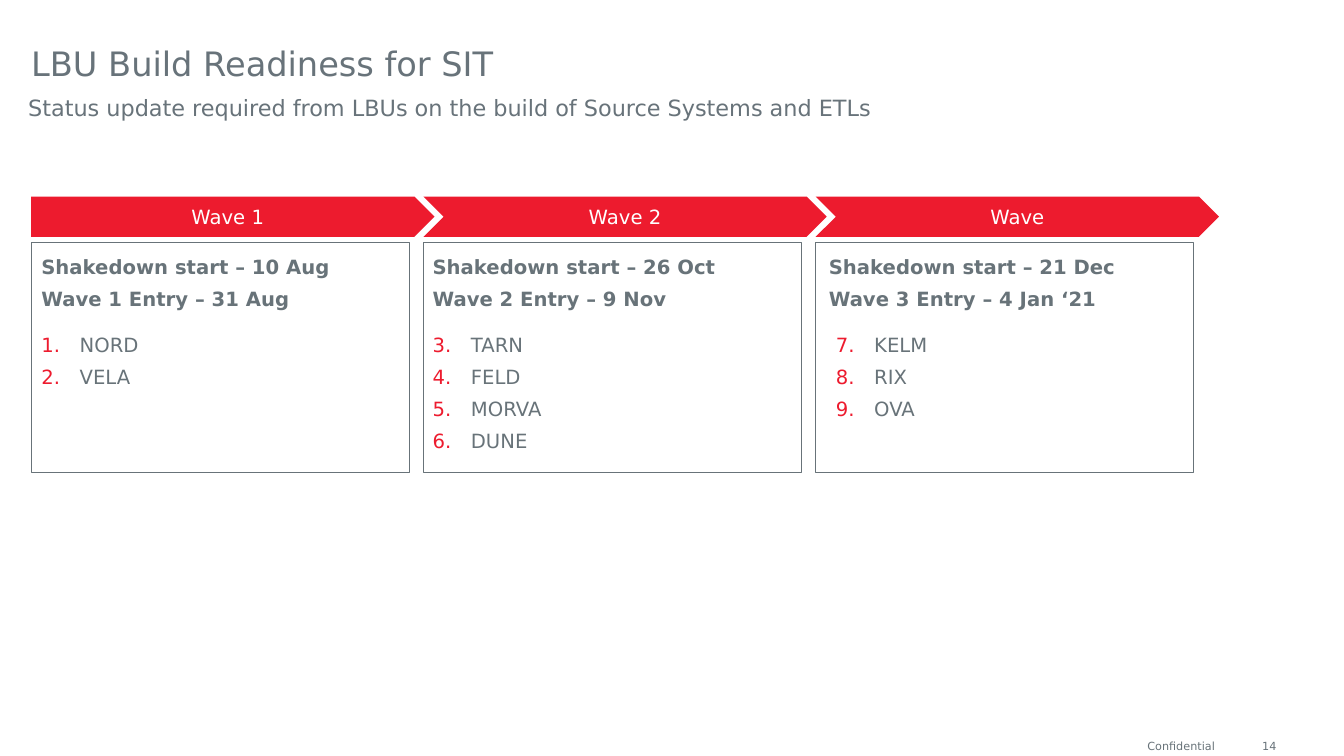
from dataclasses import dataclass

from lxml import etree
from pptx import Presentation
from pptx.dml.color import RGBColor
from pptx.enum import shapes, text
from pptx.oxml import ns
from pptx.util import Inches, Pt


@dataclass(frozen=True)
class Theme:
    font: str = "DejaVu Sans"
    red: str = "ED1B2E"
    grey: str = "68737A"
    slate: str = "687379"
    white: str = "FFFFFF"
    title: int = 24
    lead: int = 16
    body: int = 14
    foot: int = 8


@dataclass(frozen=True)
class Wave:
    label: str
    dates: tuple[str, str]
    units: tuple[str, ...]
    start: int  # first number of the list
    head: float  # left edge of the dates
    list: float  # left edge of the units


THEME = Theme()
SHAPE = shapes.MSO_SHAPE
LEFT, STEP = 0.31, 3.89

WAVES = (
    Wave("Wave 1", ("Shakedown start – 10 Aug", "Wave 1 Entry – 31 Aug"),
         ("NORD", "VELA"), 1, 0.41, 0.41),
    Wave("Wave 2", ("Shakedown start – 26 Oct", "Wave 2 Entry – 9 Nov"),
         ("TARN", "FELD", "MORVA", "DUNE"), 3, 4.29, 4.29),
    Wave("Wave", ("Shakedown start – 21 Dec", "Wave 3 Entry – 4 Jan ‘21"),
         ("KELM", "RIX", "OVA"), 7, 8.22, 8.29),
)


def place(item, left: float, top: float, width: float, height: float) -> None:
    item.left, item.top = Inches(left), Inches(top)
    item.width, item.height = Inches(width), Inches(height)


def write(item, lines: tuple[str, ...], size: int, color: str,
          bold: bool = False, after: int = 0, wrap: bool = True) -> None:
    """Fill a text frame with plain lines and no margins."""
    frame = item.text_frame
    frame.text = "\n".join(lines)
    frame.word_wrap = wrap
    frame.auto_size = text.MSO_AUTO_SIZE.NONE
    frame.vertical_anchor = text.MSO_ANCHOR.TOP
    frame.margin_left = frame.margin_right = 0
    frame.margin_top = frame.margin_bottom = 0
    for line in frame.paragraphs:
        line.alignment = text.PP_ALIGN.LEFT
        line.space_before, line.space_after = Pt(0), Pt(after)
        font = line.font
        font.name, font.size, font.bold = THEME.font, Pt(size), bold
        font.color.rgb = RGBColor.from_string(color)


def indent(line, left: float, hang: float):
    props = line._p.get_or_add_pPr()
    props.set("marL", str(Inches(left)))
    props.set("indent", str(Inches(hang)))
    return props


def number(line, start: int) -> None:
    props = indent(line, 0.38, -0.38)
    tint = etree.SubElement(props, ns.qn("a:buClr"))
    etree.SubElement(tint, ns.qn("a:srgbClr"), val=THEME.red)
    mark = etree.SubElement(props, ns.qn("a:buAutoNum"),
                            type="arabicPeriod", startAt=str(start))
    # Bullet settings go before the paragraph's default run settings
    runs = props.find(ns.qn("a:defRPr"))
    runs.addprevious(tint)
    runs.addprevious(mark)


def box(slide, left: float, top: float, width: float, height: float):
    return slide.shapes.add_textbox(
        Inches(left), Inches(top), Inches(width), Inches(height))


def shape(slide, kind, left: float, top: float, width: float, height: float):
    item = slide.shapes.add_shape(
        kind, Inches(left), Inches(top), Inches(width), Inches(height))
    item.shadow.inherit = False
    return item


def draw(slide, wave: Wave, left: float, kind) -> None:
    # Arrow
    arrow = shape(slide, kind, left, 1.95, 4, 0.4)
    arrow.fill.solid()
    arrow.fill.fore_color.rgb = RGBColor.from_string(THEME.red)
    arrow.line.fill.background()
    write(arrow, (wave.label,), THEME.body, THEME.white)
    arrow.text_frame.vertical_anchor = text.MSO_ANCHOR.MIDDLE
    arrow.text_frame.paragraphs[0].alignment = text.PP_ALIGN.CENTER

    # Frame
    frame = shape(slide, SHAPE.RECTANGLE, left, 2.41, 3.75, 2.28)
    frame.fill.background()
    frame.line.color.rgb = RGBColor.from_string(THEME.slate)
    frame.line.width = Pt(0.75)

    # Dates and units
    dates = box(slide, wave.head, 2.53, 3.39, 0.56)
    write(dates, wave.dates, THEME.body, THEME.slate, bold=True, after=6)
    units = box(slide, wave.list, 3.3, 2.81, 0.31 * len(wave.units))
    write(units, wave.units, THEME.body, THEME.slate, after=6)
    for line in units.text_frame.paragraphs:
        number(line, wave.start)


deck = Presentation()
deck.slide_width, deck.slide_height = Inches(13.33), Inches(7.5)
slide = deck.slides.add_slide(deck.slide_layouts[1])

# Title and lead line
title, lead = slide.placeholders
place(title, LEFT, 0.44, 12.17, 0.38)
write(title, ("LBU Build Readiness for SIT",), THEME.title, THEME.grey)
title.text_frame.paragraphs[0].line_spacing = Pt(28)
place(lead, 0.28, 0.93, 11.03, 0.27)
write(lead, ("Status update required from LBUs on the build of "
             "Source Systems and ETLs",), THEME.lead, THEME.grey)
props = indent(lead.text_frame.paragraphs[0], 0, 0)
plain = etree.SubElement(props, ns.qn("a:buNone"))
props.find(ns.qn("a:defRPr")).addprevious(plain)

# Waves
for spot, wave in enumerate(WAVES):
    kind = SHAPE.CHEVRON if spot else SHAPE.PENTAGON
    draw(slide, wave, LEFT + spot * STEP, kind)

# Footer
for words, left, width, side, color in (
        ("Confidential", 11.38, 0.67, text.PP_ALIGN.LEFT, THEME.slate),
        ("14", 12.47, 0.19, text.PP_ALIGN.RIGHT, THEME.grey)):
    foot = box(slide, left, 7.36, width, 0.11)
    write(foot, (words,), THEME.foot, color, wrap=False)
    line = foot.text_frame.paragraphs[0]
    line.alignment, line.line_spacing = side, Pt(8)

deck.save("out.pptx")
